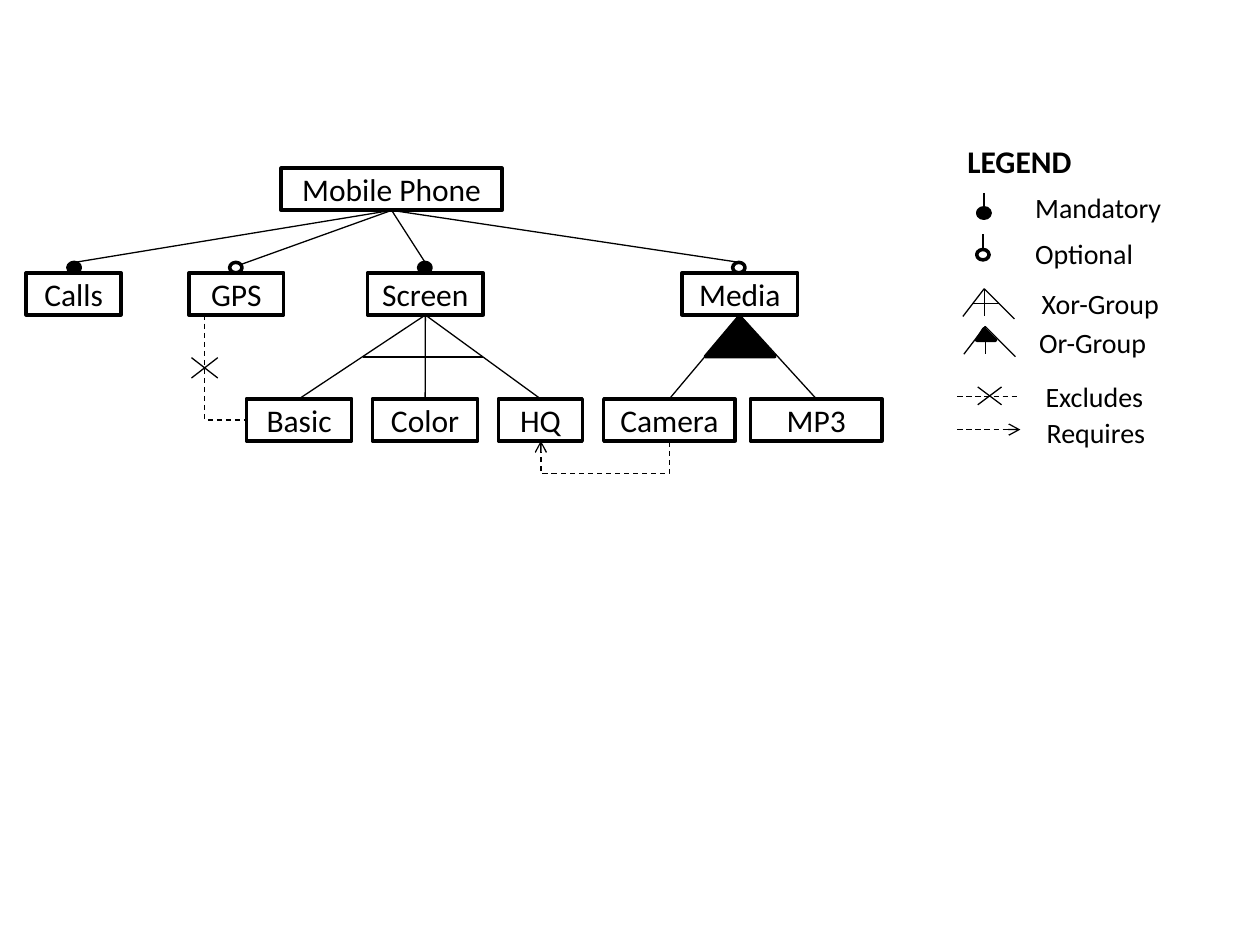
from pptx import Presentation
from pptx.dml.color import RGBColor
from pptx.enum.dml import MSO_LINE
from pptx.enum.shapes import MSO_CONNECTOR as CXN, MSO_SHAPE as SHAPE
from pptx.enum.text import MSO_ANCHOR, MSO_AUTO_SIZE, PP_ALIGN
from pptx.oxml.ns import qn
from pptx.util import Cm, Pt
from lxml.etree import SubElement

rgb = RGBColor.from_string
BLACK, WHITE = "000000", "FFFFFF"

prs = Presentation()
prs.slide_width, prs.slide_height = Cm(25.4), Cm(19.05)
s = prs.slides.add_slide(prs.slide_layouts[6])


def add_shape(kind, x, y, w, h, fill):
    sp = s.shapes.add_shape(kind, Cm(x), Cm(y), Cm(w), Cm(h))
    sp.shadow.inherit = False
    sp.fill.solid()
    sp.fill.fore_color.rgb = rgb(fill)
    sp.line.color.rgb = rgb(BLACK)
    sp.line.width = Pt(2)
    return sp


def add_line(x1, y1, x2, y2, weight=0.75, dash=False, arrow=False, kind=CXN.STRAIGHT):
    c = s.shapes.add_connector(kind, Cm(x1), Cm(y1), Cm(x2), Cm(y2))
    c.line.color.rgb = rgb(BLACK)
    c.line.width = Pt(weight)
    if dash:
        c.line.dash_style = MSO_LINE.DASH
    if arrow:
        SubElement(c.line._get_or_add_ln(), qn("a:tailEnd"), type="arrow")
    SubElement(c._element.spPr, qn("a:effectLst"))
    return c


ROOT_Y, FEATURE_Y, OPTION_Y, BOX_H = 3.39, 5.5, 8.04, 0.85
DOT_W, DOT_H = 0.25, 0.21
features = [
    ("Mobile Phone", 5.67, ROOT_Y, 4.45),
    ("Calls", 0.53, FEATURE_Y, 1.91),
    ("GPS", 3.81, FEATURE_Y, 1.91),
    ("Screen", 7.41, FEATURE_Y, 2.33),
    ("Media", 13.75, FEATURE_Y, 2.33),
    ("Basic", 4.97, OPTION_Y, 2.12),
    ("Color", 7.51, OPTION_Y, 2.12),
    ("HQ", 10.05, OPTION_Y, 1.69),
    ("Camera", 12.17, OPTION_Y, 2.65),
    ("MP3", 15.13, OPTION_Y, 2.65),
]
boxes = {}
for name, x, y, w in features:
    sp = boxes[name] = add_shape(SHAPE.RECTANGLE, x, y, w, BOX_H, WHITE)
    tf = sp.text_frame
    tf.text = name
    tf.vertical_anchor = MSO_ANCHOR.MIDDLE
    p = tf.paragraphs[0]
    p.alignment = PP_ALIGN.CENTER
    f = p.runs[0].font
    f.name, f.size, f.color.rgb = "Calibri", Pt(18), rgb(BLACK)

dots = [
    (1.37, 5.29, BLACK), (4.63, 5.29, WHITE), (8.44, 5.29, BLACK), (14.77, 5.29, WHITE),
    (19.71, 4.19, BLACK), (19.69, 5.03, WHITE),
]
for x, y, fill in dots:
    add_shape(SHAPE.OVAL, x, y, DOT_W, DOT_H, fill)

for x, y in [(1.5, 5.29), (4.86, 5.33), (8.57, 5.29), (14.91, 5.29)]:
    c = add_line(7.9, ROOT_Y + BOX_H, x, y)
    c.begin_connect(boxes["Mobile Phone"], 2)

groups = {"Screen": ["Basic", "Color", "HQ"], "Media": ["Camera", "MP3"]}
for parent, children in groups.items():
    for child in children:
        c = add_line(0, 0, 1, 1)
        c.begin_connect(boxes[parent], 2)
        c.end_connect(boxes[child], 0)

for x, y in [(19.84, 5.82), (19.86, 6.58)]:
    for dx, dy in [(-0.43, 0.56), (0, 0.56), (0.61, 0.61)]:
        add_line(x, y, x + dx, y + dy)

for x1, y1, x2, y2, weight in [
    (7.32, 7.19, 9.73, 7.19, 1),
    (19.61, 6.12, 20.14, 6.12, 0.75),
    (19.84, 3.89, 19.84, 4.19, 1),
    (19.81, 4.72, 19.81, 5.03, 1),
]:
    add_line(x1, y1, x2, y2, weight)

for x, y, w, h, apex in [(14.22, 6.38, 1.4, 0.81, 0.488), (19.69, 6.63, 0.38, 0.23, 0.382)]:
    sp = add_shape(SHAPE.ISOSCELES_TRIANGLE, x, y, w, h, BLACK)
    sp.adjustments[0] = apex

elbows = [
    (3.49, 6.98, 2.12, 0.85, 270, "bentConnector2", None, False),
    (12.19, 7.6, 0.02, 2.59, 90, "bentConnector3", -32, True),
]
for x, y, w, h, angle, preset, bend, arrow in elbows:
    c = add_line(x, y, x + w, y + h, dash=True, arrow=arrow, kind=CXN.ELBOW)
    xfrm = c._element.spPr.find(qn("a:xfrm"))
    xfrm.set("rot", str(angle * 60000))
    xfrm.set("flipH", "1")
    geom = c._element.spPr.find(qn("a:prstGeom"))
    geom.set("prst", preset)
    if bend is not None:
        SubElement(geom.find(qn("a:avLst")), qn("a:gd"), name="adj1", fmla=f"val {bend * 100000}")

add_line(19.3, 8, 20.57, 8, dash=True)
add_line(19.3, 8.66, 20.57, 8.66, dash=True, arrow=True)
for x, y, w, h in [(3.86, 7.21, 0.53, 0.41), (19.71, 7.8, 0.48, 0.36)]:
    add_line(x, y, x + w, y + h)
    add_line(x, y + h, x + w, y)

legend = [
    ("LEGEND", 19.25, 2.74, 2.62, 1.02, 18, True),
    ("Mandatory", 20.62, 3.71, 3.07, 0.94, 16, False),
    ("Optional", 20.62, 4.65, 2.51, 0.94, 16, False),
    ("Xor-Group", 20.75, 5.66, 2.92, 0.94, 16, False),
    ("Or-Group", 20.7, 6.43, 2.72, 0.94, 16, False),
    ("Excludes", 20.83, 7.52, 2.49, 0.94, 16, False),
    ("Requires", 20.85, 8.26, 2.51, 0.94, 16, False),
]
for label, x, y, w, h, size, bold in legend:
    tf = s.shapes.add_textbox(Cm(x), Cm(y), Cm(w), Cm(h)).text_frame
    tf.text = label
    tf.word_wrap = False
    tf.auto_size = MSO_AUTO_SIZE.SHAPE_TO_FIT_TEXT
    f = tf.paragraphs[0].runs[0].font
    f.name, f.size, f.bold, f.color.rgb = "Calibri", Pt(size), bold, rgb(BLACK)

prs.save("out.pptx")
